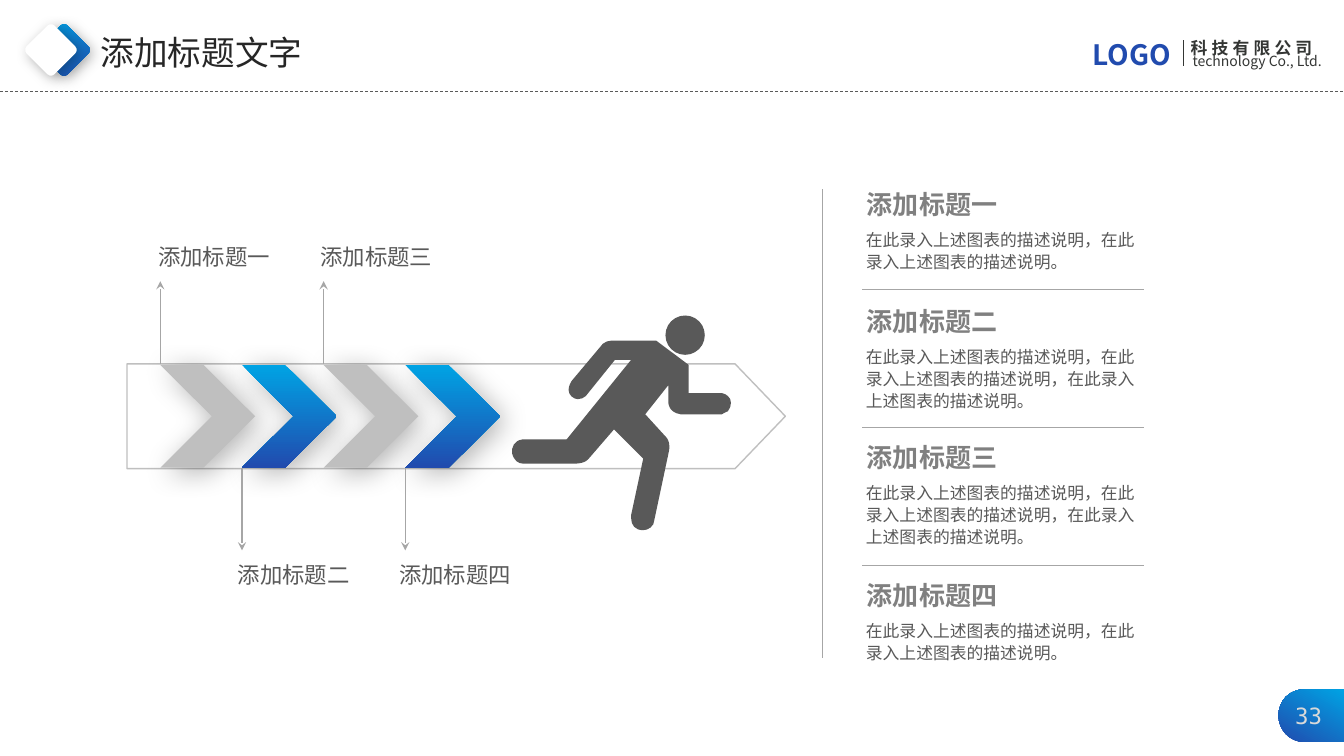
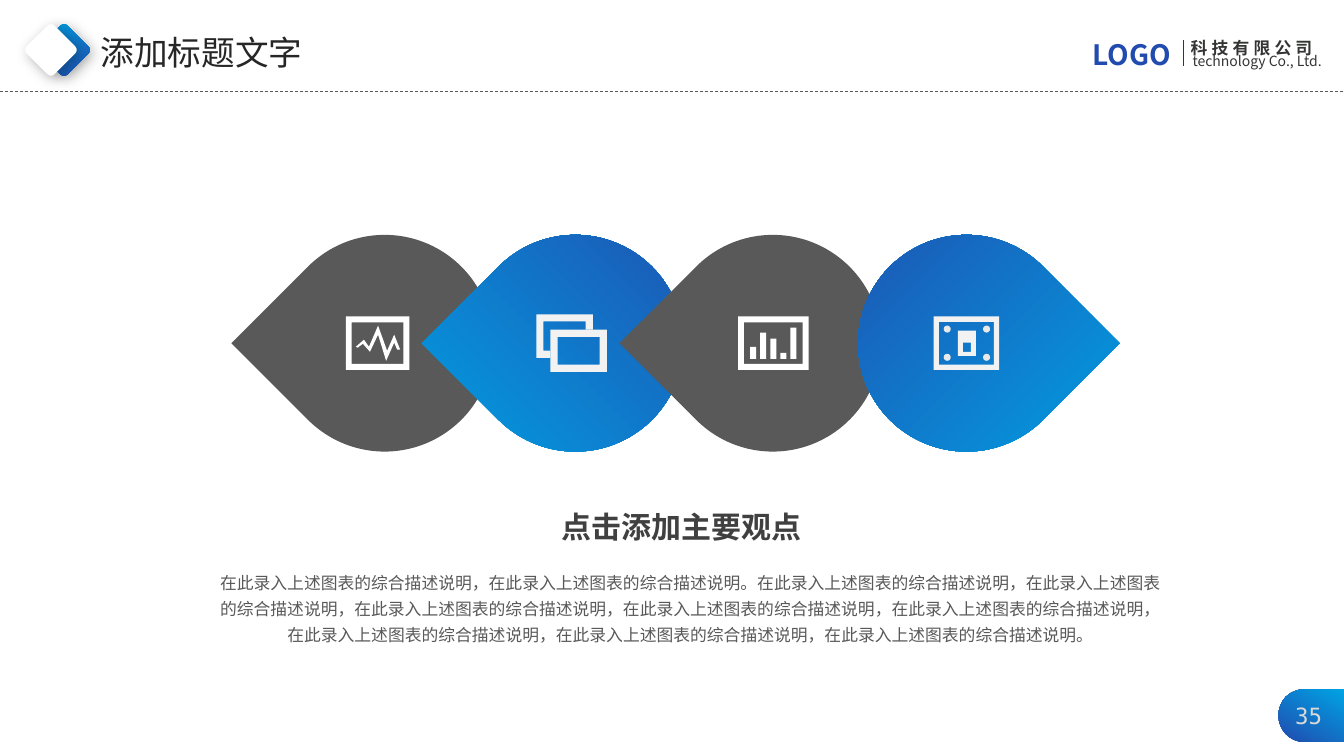
"""Build two slides: a runner arrow process and a row of four icon drops."""
from dataclasses import dataclass

from lxml import etree
from pptx import Presentation
from pptx.dml.color import RGBColor
from pptx.enum.dml import MSO_LINE
from pptx.enum.shapes import MSO_CONNECTOR, MSO_SHAPE
from pptx.enum.text import PP_ALIGN
from pptx.oxml.ns import qn
from pptx.util import Pt

PX = 9144
STRAIGHT = MSO_CONNECTOR.STRAIGHT
DASH = MSO_LINE.DASH
CENTER, LEFT = PP_ALIGN.CENTER, PP_ALIGN.LEFT
RECT, ROUNDED, OVAL = MSO_SHAPE.RECTANGLE, MSO_SHAPE.ROUNDED_RECTANGLE, MSO_SHAPE.OVAL
FRAME, TEAR = MSO_SHAPE.FRAME, MSO_SHAPE.TEAR
CHEVRON, PENTAGON = MSO_SHAPE.CHEVRON, MSO_SHAPE.PENTAGON


@dataclass(frozen=True)
class Theme:
    """Colours, fonts and type sizes."""
    font: str = "Noto Sans CJK SC"
    mono: str = "DejaVu Sans Mono"
    navy: str = "214BAE"
    sky: str = "00A3E4"
    ink: str = "262626"
    brand: str = "343634"
    heading: str = "404040"
    body: str = "595959"
    muted: str = "808080"
    rule: str = "A6A6A6"
    silver: str = "BFBFBF"
    number: str = "D9D9D9"
    dot: str = "E9E9E9"
    pale: str = "F2F2F2"
    white: str = "FFFFFF"
    title_size: float = 24
    point_size: float = 21.4
    logo_size: float = 20
    item_size: float = 18.6
    label_size: float = 16
    text_size: float = 12
    small_size: float = 10


T = Theme()
DOWN = (T.sky, T.navy, 90)
SIDEWAYS = (T.sky, T.navy, 180)
DIAMOND = (T.sky, T.navy, 20)
TAB = (T.navy, T.sky, 300)

TITLE = "添加标题文字"
SHORT = "在此录入上述图表的描述说明，在此录入上述图表的描述说明。"
LONG = "在此录入上述图表的描述说明，在此录入上述图表的描述说明，在此录入上述图表的描述说明。"
ITEMS = [
    ("添加标题一", SHORT, 182, 55),
    ("添加标题二", LONG, 298, 77),
    ("添加标题三", LONG, 433, 77),
    ("添加标题四", SHORT, 570, 55),
]
LABEL_LEFTS = [147, 226, 308, 386]
POINT = "点击添加主要观点"
SUMMARY = (
    "在此录入上述图表的综合描述说明，在此录入上述图表的综合描述说明。"
    "在此录入上述图表的综合描述说明，在此录入上述图表的综合描述说明，"
    "在此录入上述图表的综合描述说明，在此录入上述图表的综合描述说明，"
    "在此录入上述图表的综合描述说明，在此录入上述图表的综合描述说明，"
    "在此录入上述图表的综合描述说明，在此录入上述图表的综合描述说明。"
)

PAGE_TAB = [
    (1293, 684), (1333, 684), (1333, 736), (1293, 736),
    (1279, 736, 1268, 724, 1268, 710), (1268, 695, 1279, 684, 1293, 684),
]
RUNNER_BODY = [
    (518, 436), (562, 436), (626, 357), (610, 357), (581, 393),
    (579, 395, 576, 396, 573, 396), (569, 396, 564, 392, 564, 387),
    (564, 383, 566, 380, 567, 378), (598, 341), (601, 339, 603, 338, 606, 338),
    (651, 338), (683, 362), (683, 390), (716, 390),
    (719, 390, 720, 392, 722, 393), (726, 396, 726, 403, 722, 408),
    (720, 409, 719, 409, 716, 411), (675, 411), (663, 409, 663, 400, 663, 400),
    (663, 382), (640, 411), (661, 434), (661, 434, 666, 439, 663, 450),
    (649, 516), (649, 522, 643, 526, 638, 526), (630, 526, 626, 521, 626, 514),
    (626, 511), (638, 455), (609, 426), (584, 455), (584, 455, 581, 460, 570, 460),
    (519, 460), (514, 460, 510, 457, 508, 450), (507, 444, 510, 437, 518, 436),
]
PULSE = [
    (356, 344), (360, 341), (367, 349), (375, 332), (383, 358), (391, 340), (394, 347),
    (397, 347), (391, 332), (384, 348), (375, 323), (366, 344), (361, 337), (353, 344),
    (355, 345),
]
BACK_WINDOW = [
    (588, 327), (588, 312), (532, 312), (532, 355), (546, 355), (546, 348), (539, 348),
    (539, 319), (581, 319), (581, 327),
]
CHIP = [(968, 328), (950, 328), (950, 353), (968, 353)]
CHIP_HOLE = [(963, 349), (963, 340), (955, 340), (955, 349)]
BAR_HEIGHTS = [12, 26, 20, 6, 31]
DROPS = [(274, T.body, 225), (463, DOWN, 225), (659, T.body, 225), (851, SIDEWAYS, 45)]


def rgb(color):
    """Turn a hex string into a colour."""
    return RGBColor.from_string(color)


def paint(shape, fill=None, line=None, shadow=None):
    """Set solid, gradient or no fill, the outline, and an optional shadow."""
    shape.shadow.inherit = False
    if fill is None:
        shape.fill.background()
    elif isinstance(fill, str):
        shape.fill.solid()
        shape.fill.fore_color.rgb = rgb(fill)
    else:
        *colors, angle = fill
        shape.fill.gradient()
        shape.fill.gradient_angle = 360 - angle
        for stop, color in zip(shape.fill.gradient_stops, colors):
            stop.color.rgb = rgb(color)
    if line:
        shape.line.color.rgb = rgb(line)
        shape.line.width = Pt(1)
    else:
        shape.line.fill.background()
    if shadow:
        blur, distance = shadow
        effects = shape._element.spPr.find(qn("a:effectLst"))
        outer = etree.SubElement(
            effects, qn("a:outerShdw"), blurRad=str(Pt(blur)), dist=str(Pt(distance)),
            dir="2700000", algn="tl", rotWithShape="0")
        color = etree.SubElement(outer, qn("a:srgbClr"), val="000000")
        etree.SubElement(color, qn("a:alpha"), val="30000")
    return shape


def add_preset(s, kind, x, y, w, h, fill=None, adj=None, rotation=0, **style):
    """Add a preset shape."""
    shape = s.shapes.add_shape(kind, x * PX, y * PX, w * PX, h * PX)
    if adj is not None:
        shape.adjustments[0] = adj
    shape.rotation = rotation
    return paint(shape, fill, **style)


def add_outline(s, fill, *outlines):
    """Add a freeform of closed outlines, whose six-number nodes are cubic curves."""
    first, *others = [[(x * PX, y * PX) for *_, x, y in nodes] for nodes in outlines]
    builder = s.shapes.build_freeform(*first[0], scale=1)
    builder.add_line_segments(first[1:], close=True)
    for points in others:
        builder.move_to(*points[0])
        builder.add_line_segments(points[1:], close=True)
    shape = builder.convert_to_shape()
    segments = list(shape._element.iter(qn("a:lnTo")))
    nodes = [node for outline in outlines for node in outline[1:]]
    for segment, node in zip(segments, nodes):
        if len(node) == 6:
            segment.tag = qn("a:cubicBezTo")
            controls = [
                etree.Element(qn("a:pt"), x=str(x * PX - shape.left), y=str(y * PX - shape.top))
                for x, y in (node[:2], node[2:4])]
            segment[:0] = controls
    return paint(shape, fill)


def add_line(s, x1, y1, x2, y2, color=T.rule, width=1, dash=None, arrow=False):
    """Add a straight line, with an optional arrowhead at its end."""
    line = s.shapes.add_connector(STRAIGHT, x1 * PX, y1 * PX, x2 * PX, y2 * PX)
    line.line.color.rgb = rgb(color)
    line.line.width = Pt(width)
    if dash:
        line.line.dash_style = dash
    if arrow:
        etree.SubElement(line.line._get_or_add_ln(), qn("a:tailEnd"), type="stealth")
    etree.SubElement(line._element.spPr, qn("a:effectLst"))


def add_text(s, text, x, y, w, h, size=T.text_size, color=T.body, bold=False, font=T.font,
             align=LEFT, wrap=True, leading=None, tracking=None):
    """Add a text box holding one paragraph."""
    tf = s.shapes.add_textbox(x * PX, y * PX, w * PX, h * PX).text_frame
    tf.word_wrap = wrap
    p = tf.paragraphs[0]
    p.alignment = align
    if leading:
        p.line_spacing = leading
    r = p.add_run()
    r.text = text
    r.font.size = Pt(size)
    r.font.bold = bold
    r.font.color.rgb = rgb(color)
    r.font.name = font
    props = r._r.get_or_add_rPr()
    etree.SubElement(props, qn("a:ea"), typeface=font)
    if tracking:
        props.set("spc", str(tracking * 100))


def add_page(prs, number):
    """Add a slide with the shared header and page number."""
    s = prs.slides.add_slide(prs.slide_layouts[6])
    add_outline(s, TAB, PAGE_TAB)
    add_text(s, number, 1265, 692, 66, 37, size=T.label_size, color=T.number,
             font=T.mono, align=CENTER)
    add_text(s, "科技有限公司", 1171, 33, 162, 30, color=T.brand, bold=True, tracking=3)
    add_text(s, "technology Co., Ltd.", 1173, 47, 160, 27, size=T.small_size, color=T.brand)
    add_text(s, "LOGO", 1074, 32, 113, 44, size=T.logo_size, color=T.navy, bold=True)
    add_line(s, 1174, 40, 1174, 65, color=T.brand)
    add_line(s, 0, 91, 1333, 91, color=T.body, width=0.5, dash=DASH)
    for x, fill in ((44, DIAMOND), (31, T.white)):
        add_preset(s, ROUNDED, x, 30, 39, 39, fill, adj=0.125, rotation=45, shadow=(10, 3))
    add_text(s, TITLE, 90, 27, 222, 50, size=T.title_size, color=T.ink, wrap=False)
    return s


def build_runner(prs):
    """Build the arrow band with the runner and the list beside it."""
    s = add_page(prs, "33")
    add_preset(s, PENTAGON, 126, 361, 653, 104, adj=0.48, line=T.silver)
    for i, ((title, *_), label_x) in enumerate(zip(ITEMS, LABEL_LEFTS)):
        x = 159 + 81 * i
        below = i % 2
        add_preset(s, CHEVRON, x, 362, 94, 102, DOWN if below else T.silver, adj=0.544,
                   shadow=(20, 5))
        start, end, label_y = (464, 546, 552) if below else (361, 279, 236)
        add_line(s, x, start, x, end, arrow=True)
        add_text(s, title, label_x, label_y, 132, 37, size=T.label_size, wrap=False)
    add_preset(s, OVAL, 660, 313, 39, 39, T.body)
    add_outline(s, T.body, RUNNER_BODY)

    add_line(s, 816, 188, 816, 653)
    for i in range(len(ITEMS) - 1):
        y = 287 + 137 * i
        add_line(s, 855, y, 1135, y)
    for title, text, y, height in ITEMS:
        add_text(s, title, 850, y, 151, 42, size=T.item_size, color=T.muted, bold=True,
                 wrap=False)
        add_text(s, text, 849, y + 39, 287, height, leading=1.1)


def draw_pulse(s):
    """Draw the pulse monitor icon."""
    add_outline(s, T.white, PULSE)
    add_preset(s, FRAME, 343, 314, 63, 53, T.white, adj=0.11)


def draw_windows(s):
    """Draw the two stacked windows icon."""
    add_outline(s, T.pale, BACK_WINDOW)
    add_preset(s, FRAME, 546, 327, 56, 42, T.pale, adj=0.17)


def draw_bars(s):
    """Draw the bar display icon."""
    for i, height in enumerate(BAR_HEIGHTS):
        add_preset(s, RECT, 744 + 10 * i, 356 - height, 6, height, T.white)
    add_preset(s, FRAME, 732, 314, 70, 53, T.white, adj=0.11)


def draw_board(s):
    """Draw the circuit board icon."""
    add_preset(s, FRAME, 926, 314, 65, 53, T.pale, adj=0.1)
    for y in (323, 351):
        for x in (936, 975):
            add_preset(s, OVAL, x, y, 7, 7, T.dot)
    add_outline(s, T.pale, CHIP, CHIP_HOLE)


def build_drops(prs):
    """Build the row of drops with the main point below."""
    s = add_page(prs, "35")
    icons = (draw_pulse, draw_windows, draw_bars, draw_board)
    for (x, fill, rotation), draw_icon in zip(DROPS, icons):
        add_preset(s, TEAR, x, 233, 215, 215, fill, rotation=rotation)
        draw_icon(s)
    add_text(s, POINT, 546, 500, 260, 46, size=T.point_size, color=T.heading, bold=True,
             align=CENTER, wrap=False)
    add_text(s, SUMMARY, 207, 557, 956, 89, align=CENTER, leading=1.3)


def main():
    """Create and save the presentation."""
    prs = Presentation()
    prs.slide_width, prs.slide_height = 1333 * PX, 750 * PX
    build_runner(prs)
    build_drops(prs)
    prs.save("out.pptx")


if __name__ == "__main__":
    main()
